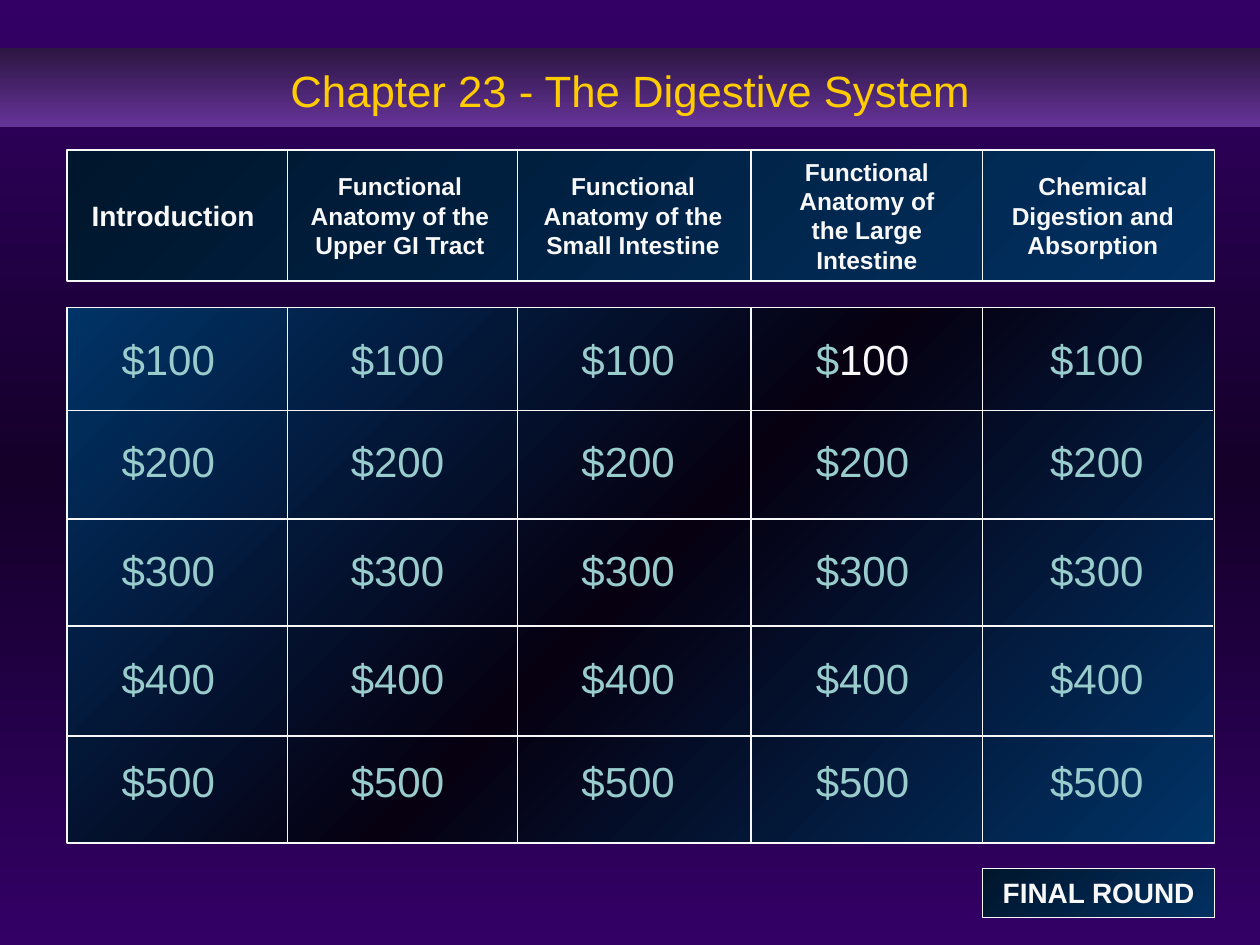
from copy import deepcopy
from pptx import Presentation
from pptx.dml.color import RGBColor
from pptx.enum.shapes import MSO_CONNECTOR, MSO_SHAPE
from pptx.enum.text import MSO_ANCHOR, MSO_AUTO_SIZE, PP_ALIGN
from pptx.oxml.ns import qn
from pptx.util import Pt

hue = RGBColor.from_string
WHITE, TEAL, GOLD = "F8F8F8", "99CCCC", "FFCC00"
NAVY = ["013061", "00162C"]


def shade(fill, node, tones, angle):
    """Blend evenly spaced tones; the angle runs counter-clockwise."""
    fill.gradient()
    fill.gradient_angle = angle
    stops = node.find(".//" + qn("a:gsLst"))
    for _ in tones[2:]:
        stops.append(deepcopy(stops[-1]))
    for i, (stop, tone) in enumerate(zip(fill.gradient_stops, tones)):
        stop.color.rgb = hue(tone)
        stop.position = i / (len(tones) - 1)


def write(shape, runs, size, bold=False, **frame):
    """Fill a shape with one centred paragraph of (text, colour) runs."""
    look = {"vertical_anchor": MSO_ANCHOR.MIDDLE, "word_wrap": True, **frame}
    for key, val in look.items():
        setattr(shape.text_frame, key, val)
    par = shape.text_frame.paragraphs[0]
    par.alignment = PP_ALIGN.CENTER
    for text, tone in runs:
        run = par.add_run()
        run.text = text
        for key, val in {"name": "Arial", "size": Pt(size), "bold": bold}.items():
            setattr(run.font, key, val)
        run.font.color.rgb = hue(tone)


deck = Presentation()
deck.slide_width, deck.slide_height = Pt(720), Pt(540)
slide = deck.slides.add_slide(deck.slide_layouts[5])
shapes = slide.shapes

# Background
shade(slide.background.fill, slide.element, ["330066", "140029", "330066"], 270)

# Title band
title = shapes.title
for key, val in {"left": 0, "top": 27.4, "width": 720, "height": 45}.items():
    setattr(title, key, Pt(val))
shade(title.fill, title.element, ["2B1541", "663399"], 270)
write(title, [("Chapter 23 - The Digestive System", GOLD)], 25,
      auto_size=MSO_AUTO_SIZE.NONE)
title.text_frame.paragraphs[0].line_spacing = 1.1

# Panels: board, category header, final round
panels = []
for box, tones in [
    ((38.2, 175.7, 655.9, 306), ["003366", "060011", "003366"]),
    ((38.2, 85.7, 655.9, 74.9), NAVY),
    ((561.6, 496.1, 132.5, 28.1), NAVY),
]:
    panel = shapes.add_shape(MSO_SHAPE.RECTANGLE, *map(Pt, box))
    panel.shadow.inherit = False
    shade(panel.fill, panel.element, tones, 135)
    panel.line.color.rgb = hue(WHITE)
    panel.line.width = Pt(0.75)
    panels.append(panel)
write(panels[-1], [("FINAL ROUND", WHITE)], 16, True, word_wrap=False)

# Category names
grow = MSO_AUTO_SIZE.SHAPE_TO_FIT_TEXT
for text, size, left, width, high in [
    ("Introduction", 16, 38.9, 120.2, 26.6),
    ("Functional Anatomy of the Upper GI Tract", 14, 168.5, 120.2, 57.6),
    ("Functional Anatomy of the Small Intestine", 14, 301.7, 120.2, 57.6),
    ("Functional Anatomy of the Large Intestine", 14, 438.5, 113.8, 74.9),
    ("Chemical Digestion and Absorption", 14, 564.5, 120.2, 57.6),
]:
    top = 123.1 - high / 2
    box = shapes.add_textbox(Pt(left), Pt(top), Pt(width), Pt(high))
    write(box, [(text, WHITE)], size, True, auto_size=grow)

# Dollar values
for row, top in enumerate([187.2, 245.5, 307.4, 369.4, 428.4]):
    for col, left in enumerate([53.3, 184.3, 316.1, 450, 583.9]):
        box = shapes.add_textbox(Pt(left), Pt(top), Pt(85.7), Pt(36))
        tone = WHITE if (row, col) == (0, 3) else TEAL
        runs = [("$", TEAL), (f"{row + 1}00", tone)]
        if tone == TEAL:
            runs = [(f"${row + 1}00", TEAL)]
        write(box, runs, 24, auto_size=grow)

# Grid lines
lines = [(x, top, x, end) for top, end in [(86.4, 160.6), (175.7, 481)]
         for x in [164.2, 295.9, 429.1, 561.6]]
lines += [(38.9, y, 693.4, y) for y in [234.7, 296.6, 357.8, 420.5]]
for ends in lines:
    line = shapes.add_connector(MSO_CONNECTOR.STRAIGHT, *map(Pt, ends))
    line.line.color.rgb = hue(WHITE)
    line.line.width = Pt(0.75)
    props = line.element.spPr
    props.append(props.makeelement(qn("a:effectLst"), {}))

deck.save("out.pptx")
